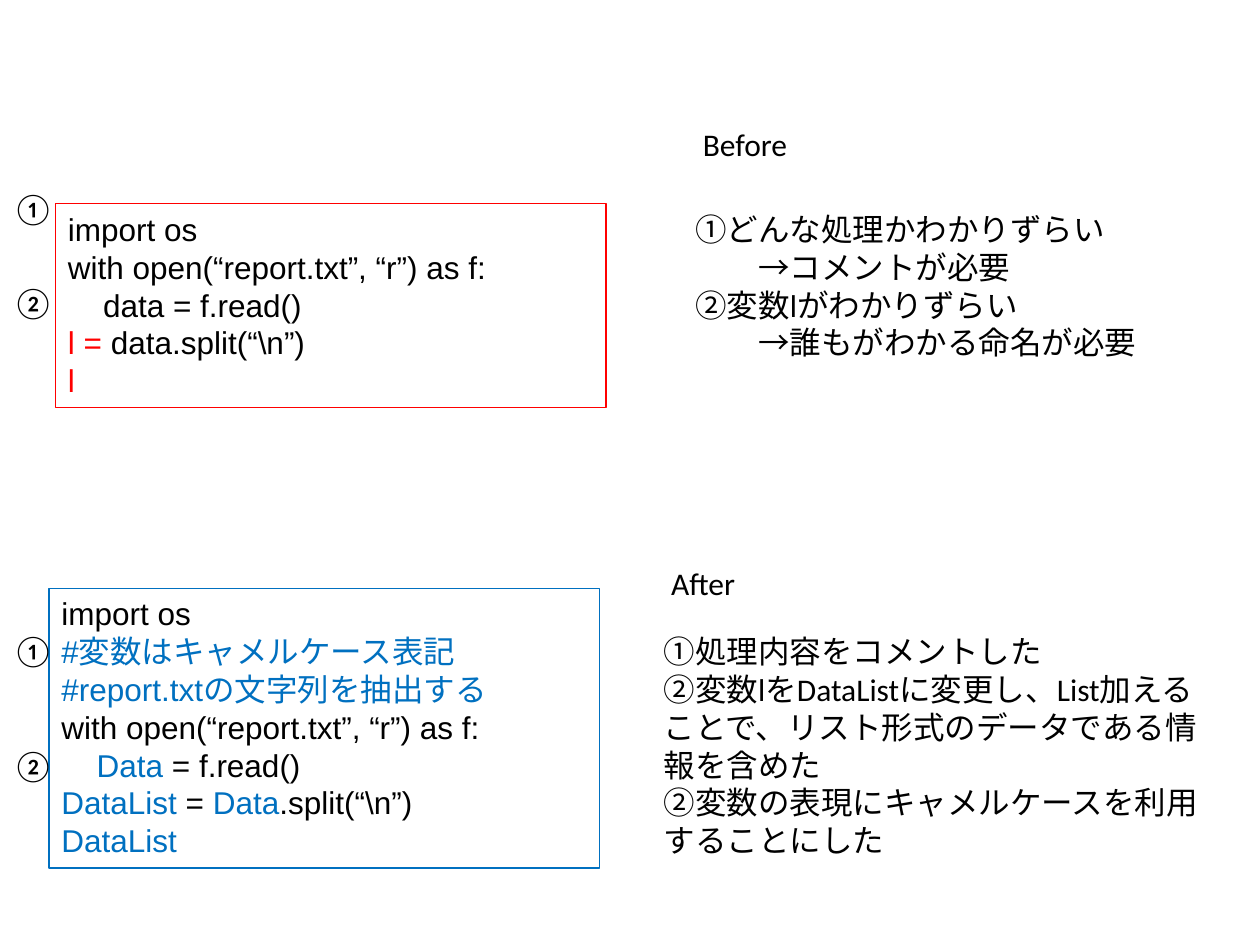
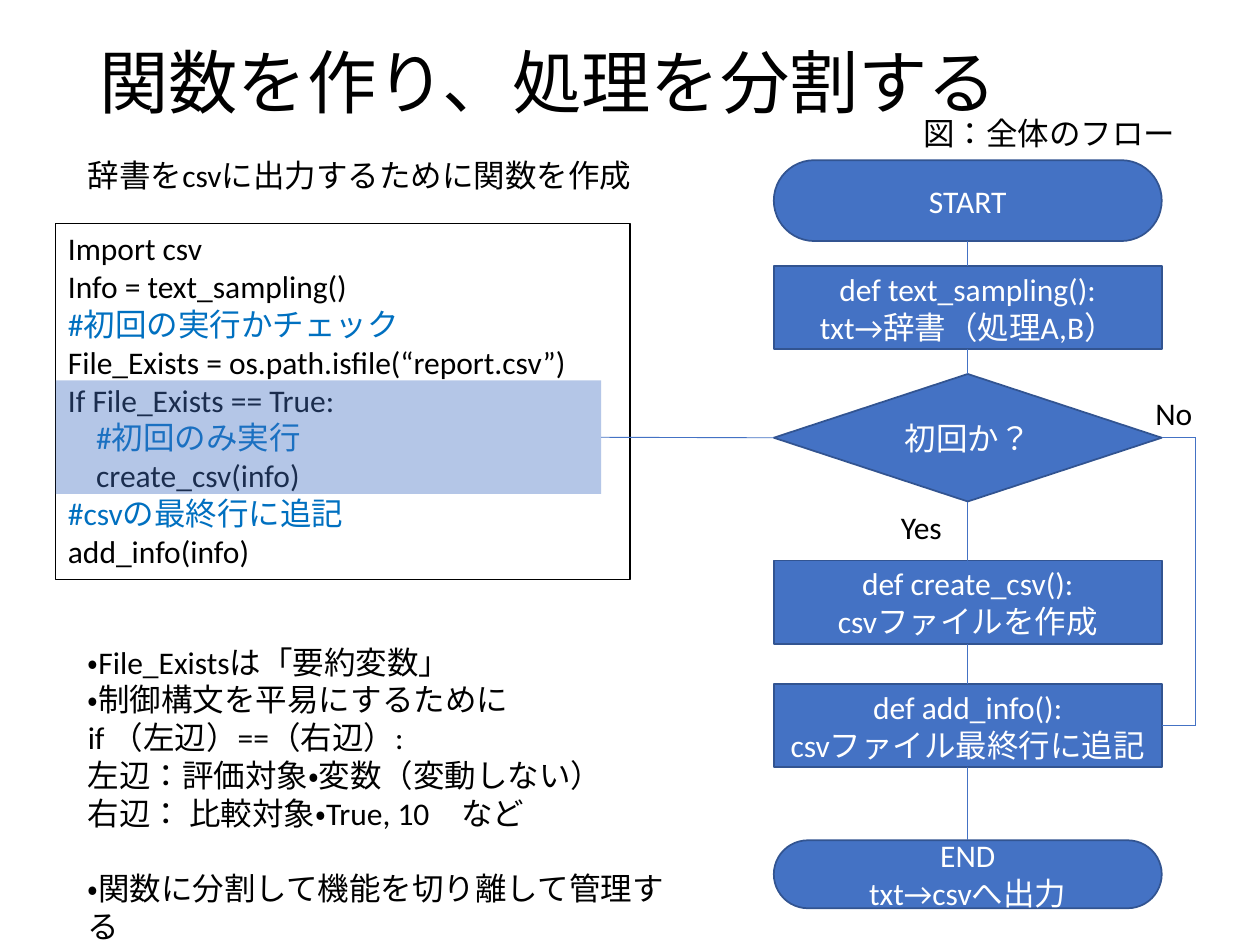
from dataclasses import dataclass
from itertools import pairwise

from lxml.etree import SubElement
from pptx import Presentation
from pptx.dml.color import RGBColor
from pptx.enum.lang import MSO_LANGUAGE_ID as Language
from pptx.enum.shapes import MSO_CONNECTOR as Connector, MSO_SHAPE as Preset
from pptx.enum.text import MSO_ANCHOR as Anchor, MSO_AUTO_SIZE as AutoSize, PP_ALIGN as Align
from pptx.oxml.ns import qn
from pptx.util import Cm, Pt


@dataclass(frozen=True)
class Theme:
    ink: str = "000000"
    light: str = "FFFFFF"
    red: str = "FF0000"
    blue: str = "0070C0"
    node: str = "4472C4"
    node_edge: str = "325491"
    body_font: str = "Calibri"
    code_font: str = "Arial"
    body_size: float = 18
    title_size: float = 39.6
    node_width: float = 1
    frame_width: float = 0.75
    link_width: float = 0.5


THEME = Theme()
TAB, ARIAL_STEP, CALIBRI_STEP = 1.27, 0.71, 0.57   # indents in cm
LINE_GAP = 21.6                                    # one empty line in points
TOP, LEFT, BOTTOM, RIGHT = range(4)                # connection sites

# Content: a line is text or (text, indent, space before); |bars| mark the accent colour.
# Boxes are (left, top, width, height) in cm.
REVIEWS = [
    {
        "heading": ("After", (13.28, 11.25, 11.1, 1.02)),
        "code_box": (0.99, 11.86, 11.1, 5.64),
        "accent": THEME.blue,
        "code": [
            "import os",
            "|#変数はキャメルケース表記|",
            "|#report.txtの文字列を抽出する|",
            "with open(“report.txt”, “r”) as f:",
            ("|Data| = f.read()", ARIAL_STEP, 0),
            "|DataList| = |Data|.split(“\\n”)",
            "|DataList|",
        ],
        "marks": [("①", 12.6), ("②", 14.91)],
        "notes_box": (13.13, 12.62, 11.43, 4.88),
        "notes": [
            "①処理内容をコメントした",
            "②変数lをDataListに変更し、List加えることで、リスト形式のデータである情報を含めた",
            "②変数の表現にキャメルケースを利用することにした",
        ],
    },
    {
        "heading": ("Before", (13.92, 2.39, 11.1, 1.02)),
        "code_box": (1.12, 4.11, 11.1, 4.11),
        "accent": THEME.red,
        "code": [
            "import os",
            "with open(“report.txt”, “r”) as f:",
            ("data = f.read()", ARIAL_STEP, 0),
            "|l = |data.split(“\\n”)",
            "|l|",
        ],
        "marks": [("①", 3.68), ("②", 5.59)],
        "notes_box": (13.77, 4.11, 11.43, 3.33),
        "notes": [
            "①どんな処理かわかりずらい",
            ("→コメントが必要", TAB, 0),
            "②変数lがわかりずらい",
            ("→誰もがわかる命名が必要", TAB, 0),
        ],
    },
]

TITLE = "関数を作り、処理を分割する"
CSV_CODE = [
    "Import csv",
    "Info = text_sampling()",
    "|#初回の実行かチェック|",
    "File_Exists = os.path.isfile(“report.csv”)",
    "If File_Exists == True:",
    ("|#初回のみ実行|", CALIBRI_STEP, 0),
    ("create_csv(info)", CALIBRI_STEP, 0),
    "|#csvの最終行に追記|",
    "add_info(info)",
]
CSV_NOTES = [
    "・File_Existsは「要約変数」",
    "・制御構文を平易にするために",
    "if （左辺）==（右辺）:",
    "左辺：評価対象・変数（変動しない）",
    "右辺： 比較対象・True, 10　など",
    ("・関数に分割して機能を切り離して管理する", 0, LINE_GAP),
]
LABELS = [
    (["辞書をcsvに出力するために関数を作成"], (1.52, 3.02, 12.42, 1.02)),
    (["Yes"], (17.91, 10.11, 1.57, 1.02)),
    (["No"], (23.04, 7.82, 2.11, 1.02)),
    (["図：全体のフロー"], (18.36, 2.18, 6.38, 1.02)),
    (CSV_NOTES, (1.52, 12.83, 12.42, 6.4)),
]
# Flow steps: preset, top, height, lines
FLOW_LEFT, FLOW_WIDTH, BRANCH_X = 15.6, 7.82, 24.1
FLOW = [
    (Preset.ROUNDED_RECTANGLE, 3.23, 1.63, ["START"]),
    (Preset.RECTANGLE, 5.36, 1.68, ["def text_sampling():", "txt→辞書（処理A,B）"]),
    (Preset.FLOWCHART_DECISION, 7.54, 2.57, ["初回か？"]),
    (Preset.RECTANGLE, 11.3, 1.68, ["def create_csv():", "csvファイルを作成"]),
    (Preset.RECTANGLE, 13.79, 1.68, ["def add_info():", "csvファイル最終行に追記"]),
    (Preset.ROUNDED_RECTANGLE, 16.94, 1.37, ["END", "txt→csvへ出力"]),
]
DECISION, APPEND = 2, 4


# Drawing helpers
def assign(target, values):
    for name, value in values.items():
        setattr(target, name, value)


def paint(shape, fill=None, line=None, width=0):
    shape.shadow.inherit = False
    if fill:
        shape.fill.solid()
        shape.fill.fore_color.rgb = RGBColor.from_string(fill)
    else:
        shape.fill.background()
    if line:
        shape.line.color.rgb = RGBColor.from_string(line)
        shape.line.width = Pt(width)
    else:
        shape.line.fill.background()


def write(shape, lines, color=THEME.ink, accent=THEME.blue, font=THEME.body_font,
          size=THEME.body_size, align=Align.LEFT, anchor=Anchor.TOP,
          fit=AutoSize.SHAPE_TO_FIT_TEXT, spacing=1.0):
    frame = shape.text_frame
    assign(frame, {"word_wrap": True, "auto_size": fit, "vertical_anchor": anchor})
    for index, line in enumerate(lines):
        text, indent, before = (line, 0, 0) if isinstance(line, str) else line
        paragraph = frame.add_paragraph() if index else frame.paragraphs[0]
        assign(paragraph, {"alignment": align, "line_spacing": spacing,
                           "space_before": Pt(before)})
        if indent:
            paragraph._p.get_or_add_pPr().set("marL", str(Cm(indent)))
        for part, piece in enumerate(text.split("|")):
            if piece:
                run = paragraph.add_run()
                run.text = piece
                assign(run.font, {"name": font, "size": Pt(size),
                                  "language_id": Language.JAPANESE})
                run.font.color.rgb = RGBColor.from_string(accent if part % 2 else color)


def add_text(slide, lines, box, **style):
    shape = slide.shapes.add_textbox(*map(Cm, box))
    write(shape, lines, **style)
    return shape


def add_code(slide, lines, box, edge, **style):
    shape = slide.shapes.add_shape(Preset.RECTANGLE, *map(Cm, box))
    paint(shape, line=edge, width=THEME.frame_width)
    write(shape, lines, **style)
    return shape


def add_line(slide, start=(0, 0), end=(0, 0)):
    line = slide.shapes.add_connector(Connector.STRAIGHT, *start, *end)
    line.line.color.rgb = RGBColor.from_string(THEME.node)
    line.line.width = Pt(THEME.link_width)
    SubElement(line._element.spPr, qn("a:effectLst"))
    return line


def link(slide, first, first_site, second, second_site):
    line = add_line(slide)
    line.begin_connect(first, first_site)
    line.end_connect(second, second_site)


def add_step(slide, preset, top, height, lines):
    shape = slide.shapes.add_shape(preset, *map(Cm, (FLOW_LEFT, top, FLOW_WIDTH, height)))
    if preset == Preset.ROUNDED_RECTANGLE:
        shape.adjustments[0] = 0.5
    paint(shape, THEME.node, THEME.node_edge, THEME.node_width)
    write(shape, lines, color=THEME.light, align=Align.CENTER,
          anchor=Anchor.MIDDLE, fit=AutoSize.NONE)
    return shape


presentation = Presentation()
assign(presentation, {"slide_width": Cm(25.4), "slide_height": Cm(19.05)})
blank = presentation.slide_layouts[6]

# Slide 1: code before and after the review
slide = presentation.slides.add_slide(blank)
for review in REVIEWS:
    add_code(slide, review["code"], review["code_box"], review["accent"],
             accent=review["accent"], font=THEME.code_font)
    for mark, top in review["marks"]:
        add_text(slide, [mark], (0, top, 0.76, 1.02))
    add_text(slide, review["notes"], review["notes_box"])
    heading, box = review["heading"]
    add_text(slide, [heading], box)

# Slide 2: title and labels
slide = presentation.slides.add_slide(blank)
add_text(slide, [TITLE], (1.75, 1.02, 21.9, 1.45), size=THEME.title_size,
         anchor=Anchor.MIDDLE, fit=AutoSize.NONE, spacing=0.9)
for lines, box in LABELS:
    add_text(slide, lines, box)

# Flow chart with its bypass for "No"
steps = [add_step(slide, *step) for step in FLOW]
for upper, lower in pairwise(steps):
    link(slide, upper, BOTTOM, lower, TOP)
decision_y, append_y = (steps[i].top + steps[i].height // 2 for i in (DECISION, APPEND))
flow_right = Cm(FLOW_LEFT + FLOW_WIDTH)
bypass = [(flow_right, decision_y), (Cm(BRANCH_X), decision_y),
          (Cm(BRANCH_X), append_y), (flow_right, append_y)]
for start, end in pairwise(bypass):
    add_line(slide, start, end)

# Code with the highlighted condition
add_code(slide, CSV_CODE, (1.12, 4.5, 11.58, 7.19), THEME.ink)
highlight = slide.shapes.add_shape(Preset.RECTANGLE, *map(Cm, (1.12, 7.67, 11, 2.29)))
paint(highlight, THEME.node)
color = highlight._element.spPr.find(qn("a:solidFill")).find(qn("a:srgbClr"))
SubElement(color, qn("a:alpha"), val="40000")
link(slide, steps[DECISION], LEFT, highlight, RIGHT)

presentation.save("out.pptx")
